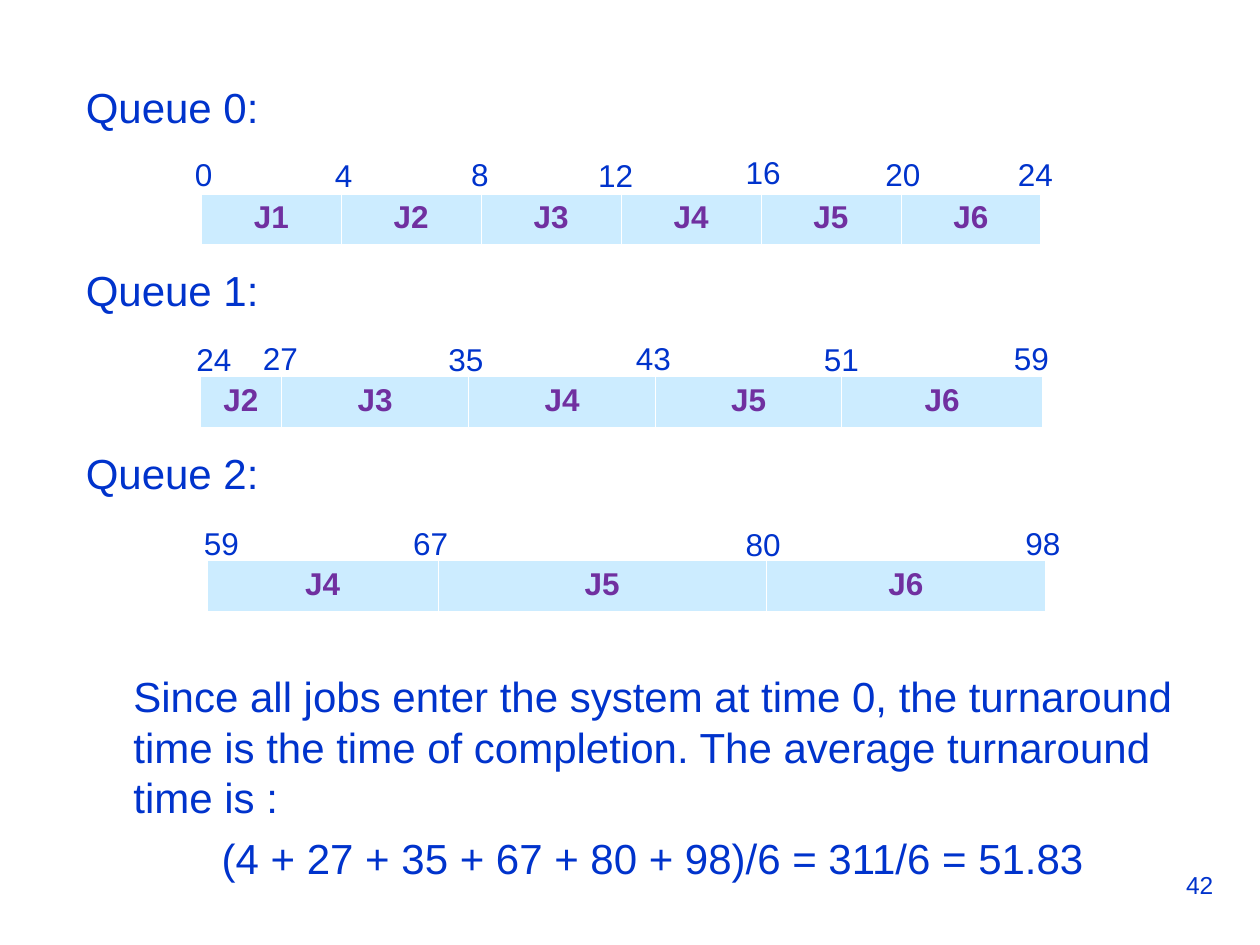
from lxml.etree import SubElement
from pptx import Presentation
from pptx.dml.color import RGBColor
from pptx.enum.text import MSO_AUTO_SIZE as AutoSize, PP_ALIGN as Align
from pptx.oxml.ns import qn
from pptx.util import Cm, Pt

THEME = {
    "bar": RGBColor.from_string("CCECFF"),
    "border": "FFFFFF",
    "text": RGBColor.from_string("0033CC"),
    "job": RGBColor.from_string("7030A0"),
    "fonts": {
        "body": {"name": "Arial", "size": Pt(24)},
        "time": {"name": "Arial", "size": Pt(18)},
        "job": {"name": "Arial", "size": Pt(18), "bold": True},
        "number": {"name": "Arial", "size": Pt(14)},
    },
    "line_spacing": Pt(28.9),
}

# All lengths below are in centimetres.
DIGIT, NARROW, WIDE = 0.86, 1.22, 1.55
TIME_HEIGHT, BAR_HEIGHT = 1.02, 1.04
BORDERS = {"lnL": 0.45, "lnR": 0.45, "lnT": 0.45, "lnB": 1.47}

# Each bar: left, top, jobs as (name, width), times as (text, left, top, box width)
BARS = [
    (4.06, 3.91,
     [(f"J{number}", 2.82) for number in range(1, 7)],
     [("0", 3.68, 3.0, WIDE), ("4", 6.5, 3.02, DIGIT), ("8", 9.25, 3.0, DIGIT),
      ("12", 11.81, 3.02, WIDE), ("16", 14.78, 2.97, WIDE),
      ("20", 17.6, 3.0, WIDE), ("24", 20.27, 3.0, WIDE)]),
    (4.04, 7.59,
     [("J2", 1.63), ("J3", 3.78), ("J4", 3.76), ("J5", 3.76), ("J6", 4.04)],
     [("24", 3.71, 6.73, WIDE), ("27", 5.05, 6.71, NARROW),
      ("35", 8.79, 6.73, NARROW), ("43", 12.57, 6.71, WIDE),
      ("51", 16.36, 6.73, WIDE), ("59", 20.19, 6.71, WIDE)]),
    (4.17, 11.3,
     [("J4", 4.67), ("J5", 6.6), ("J6", 5.64)],
     [("59", 3.86, 10.44, WIDE), ("67", 8.08, 10.44, NARROW),
      ("80", 14.78, 10.46, NARROW), ("98", 20.42, 10.44, WIDE)]),
]

# Text, space before in points, left indent, alignment
BODY = [
    ("Queue 0:", 0, 0, Align.LEFT),
    ("Queue 1:", 75.6, 0, Align.LEFT),
    ("Queue 2:", 75.6, 0, Align.LEFT),
    ("Since all jobs enter the system at time 0, the turnaround time is the "
     "time of completion. The average turnaround time is :", 98.5, 0.96, Align.LEFT),
    ("(4 + 27 + 35 + 67 + 80 + 98)/6 = 311/6 = 51.83", 6, 0.23, Align.CENTER),
]


def write(paragraph, text, style, color, align=Align.LEFT):
    paragraph.text = text
    paragraph.alignment = align
    for attribute, value in THEME["fonts"][style].items():
        setattr(paragraph.font, attribute, value)
    paragraph.font.color.rgb = color


def add_text_frame(slide, left, top, width, height, wrap=True):
    frame = slide.shapes.add_textbox(Cm(left), Cm(top), Cm(width), Cm(height)).text_frame
    frame.word_wrap = wrap
    return frame


def add_body(slide):
    frame = add_text_frame(slide, 1.5, 1.52, 23.09, 16.69)
    frame.margin_left = frame.margin_right = Cm(0.23)
    for index, (text, space, indent, align) in enumerate(BODY):
        paragraph = frame.add_paragraph() if index else frame.paragraphs[0]
        write(paragraph, text, "body", THEME["text"], align)
        paragraph.line_spacing = THEME["line_spacing"]
        paragraph.space_before = Pt(space)
        paragraph._p.get_or_add_pPr().set("marL", str(Cm(indent)))


def add_borders(cell):
    """Put the border lines ahead of the cell's fill, as the schema requires."""
    properties = cell._tc.get_or_add_tcPr()
    for position, (tag, width) in enumerate(BORDERS.items()):
        line = SubElement(properties, qn(f"a:{tag}"), w=str(Pt(width)))
        fill = SubElement(line, qn("a:solidFill"))
        SubElement(fill, qn("a:srgbClr"), val=THEME["border"])
        properties.insert(position, line)


def add_bar(slide, left, top, jobs):
    total = sum(width for _, width in jobs)
    table = slide.shapes.add_table(
        1, len(jobs), Cm(left), Cm(top), Cm(total), Cm(BAR_HEIGHT)).table
    table.first_row = table.horz_banding = False
    for column, cell, (name, width) in zip(table.columns, table.iter_cells(), jobs):
        column.width = Cm(width)
        cell.fill.solid()
        cell.fill.fore_color.rgb = THEME["bar"]
        add_borders(cell)
        write(cell.text_frame.paragraphs[0], name, "job", THEME["job"], Align.CENTER)


def add_time(slide, text, left, top, width):
    frame = add_text_frame(slide, left, top, width, TIME_HEIGHT, wrap=width == WIDE)
    frame.auto_size = AutoSize.SHAPE_TO_FIT_TEXT
    write(frame.paragraphs[0], text, "time", THEME["text"])


def main():
    presentation = Presentation()
    presentation.slide_width, presentation.slide_height = Cm(25.4), Cm(19.05)
    slide = presentation.slides.add_slide(presentation.slide_layouts[6])
    add_body(slide)
    number = add_text_frame(slide, 18.36, 17.42, 6.35, 1.32)
    write(number.paragraphs[0], "42", "number", THEME["text"], Align.RIGHT)
    for left, top, jobs, times in BARS:
        add_bar(slide, left, top, jobs)
        for time in times:
            add_time(slide, *time)
    presentation.save("out.pptx")


if __name__ == "__main__":
    main()
